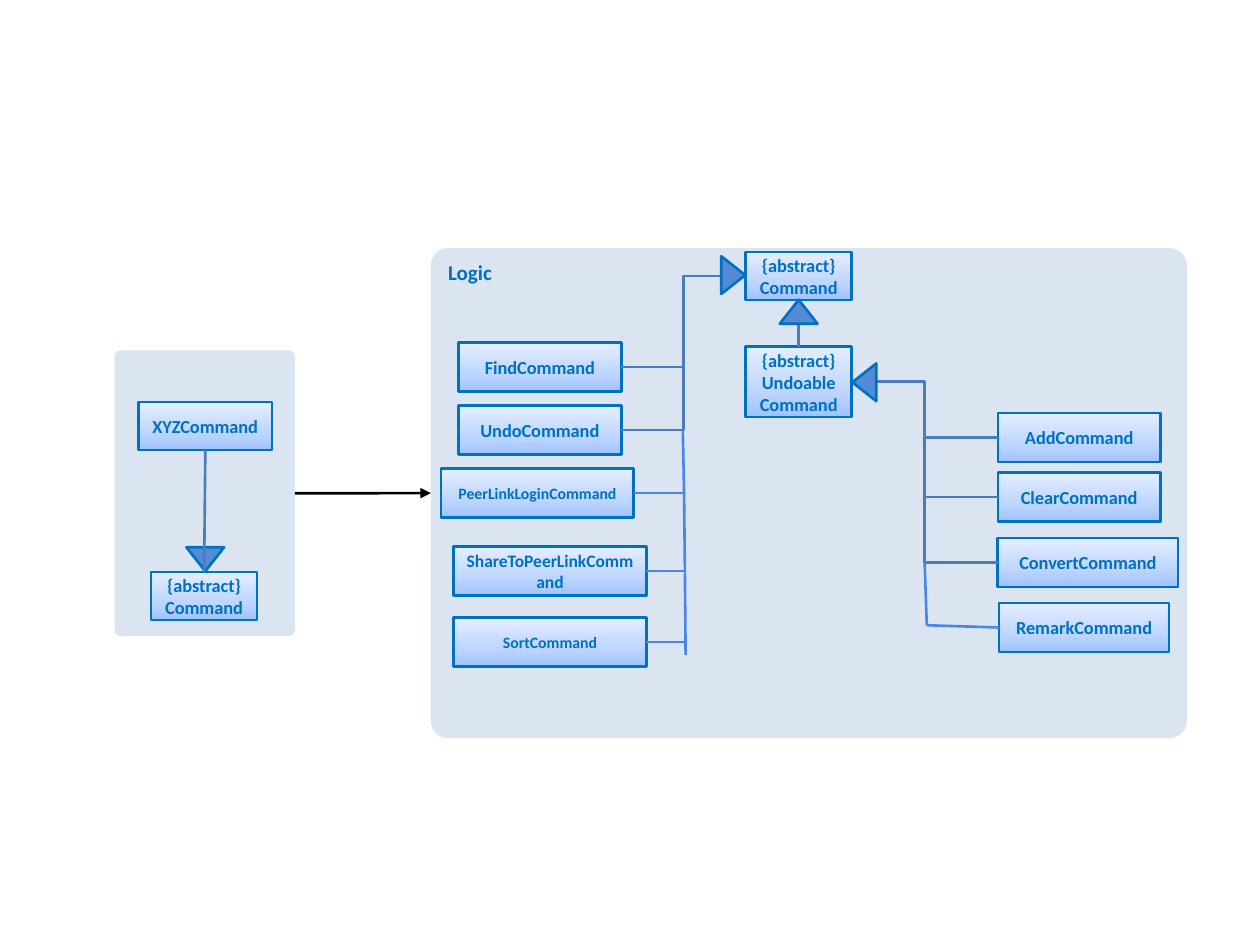
from copy import deepcopy

from pptx import Presentation
from pptx.dml.color import RGBColor
from pptx.enum import shapes, text
from pptx.oxml import ns, xmlchemy
from pptx.util import Pt

COLORS = {
    "panel": "DAE5F1", "blue": "0070C0", "triangle": "538CD5",
    "link": "4A7DBA", "branch": "4A86E8", "arrow": "000000",
}
GRADIENT = [(0, "9FC3FF"), (0.35, "BDD5FF"), (1, "E4EEFF")]
TOP, LEFT, BOTTOM, RIGHT = range(4)
STRAIGHT = shapes.MSO_CONNECTOR.STRAIGHT
ELBOW = shapes.MSO_CONNECTOR.ELBOW
BOX_HEIGHT = 28
ABSTRACT_SIZE = (60.5, 27.4)
ABSTRACT_COMMAND = "{abstract}\vCommand"


def rgb(name):
    return RGBColor.from_string(COLORS[name])


def format_text(shape, wording, size):
    frame = shape.text_frame
    frame.word_wrap = True
    frame.text = wording
    for para in frame.paragraphs:
        para.alignment = text.PP_ALIGN.CENTER
        for span in para.runs:
            span.font.name = "Calibri"
            span.font.size = Pt(size)
            span.font.bold = True
            span.font.color.rgb = rgb("blue")


def add_panel(page, area):
    panel = page.shapes.add_shape(
        shapes.MSO_SHAPE.ROUNDED_RECTANGLE, *[Pt(value) for value in area])
    panel.adjustments[0] = 0.035
    panel.shadow.inherit = False
    panel.fill.solid()
    panel.fill.fore_color.rgb = rgb("panel")
    panel.line.fill.background()
    return panel


def add_outlined(page, kind, left, top, width, height):
    shape = page.shapes.add_shape(kind, Pt(left), Pt(top), Pt(width), Pt(height))
    shape.shadow.inherit = False
    shape.line.color.rgb = rgb("blue")
    shape.line.width = Pt(1.5)
    return shape


def add_class(page, wording, left, top, width, height=BOX_HEIGHT, size=10.5):
    box = add_outlined(page, shapes.MSO_SHAPE.RECTANGLE, left, top, width, height)
    box.fill.gradient()
    box.fill.gradient_angle = 90
    # The default gradient has two stops; the class boxes need three
    stops = box.element.spPr.find(ns.qn("a:gradFill")).find(ns.qn("a:gsLst"))
    stops.insert(1, deepcopy(stops[0]))
    for stop, (position, color) in zip(box.fill.gradient_stops, GRADIENT):
        stop.position = position
        stop.color.rgb = RGBColor.from_string(color)
    box.text_frame.vertical_anchor = text.MSO_ANCHOR.MIDDLE
    format_text(box, wording, size)
    return box


def add_triangle(page, left, top, rotation=0):
    triangle = add_outlined(
        page, shapes.MSO_SHAPE.ISOSCELES_TRIANGLE, left, top, 21.6, 13.7)
    triangle.rotation = rotation
    triangle.fill.solid()
    triangle.fill.fore_color.rgb = rgb("triangle")


def add_link(page, start, end, color="link", kind=STRAIGHT):
    """Each end is an (x, y) point or a (shape, side) pair."""
    is_point = [isinstance(spot[0], (int, float)) for spot in (start, end)]
    x1, y1 = start if is_point[0] else (0, 0)
    x2, y2 = end if is_point[1] else (0, 0)
    link = page.shapes.add_connector(kind, Pt(x1), Pt(y1), Pt(x2), Pt(y2))
    if not is_point[0]:
        link.begin_connect(*start)
    if not is_point[1]:
        link.end_connect(*end)
    link.line.color.rgb = rgb(color)
    link.line.width = Pt(1.5)
    link.element.spPr.append(xmlchemy.OxmlElement("a:effectLst"))
    return link


def build_example(page, area):
    """Panel with a generic command and its abstract parent."""
    x, y = area[:2]
    panel = add_panel(page, area)
    child = add_class(page, "XYZCommand", x + 13.7, y + 29.5, 76.3, 27.4)
    parent = add_class(page, ABSTRACT_COMMAND, x + 20.9, y + 126.7, *ABSTRACT_SIZE)
    add_triangle(page, x + 41, y + 112.5, 180)
    add_link(page, (child, BOTTOM), (parent, TOP))
    return panel


def build_logic(page, area):
    """Panel with the full command hierarchy."""
    x, y = area[:2]
    panel = add_panel(page, area)
    panel.text_frame.vertical_anchor = text.MSO_ANCHOR.TOP
    format_text(panel, "Logic", 12)
    panel.text_frame.paragraphs[0].alignment = text.PP_ALIGN.LEFT

    # Abstract parents
    command = add_class(page, ABSTRACT_COMMAND, x + 180, y + 2.2, *ABSTRACT_SIZE)
    undoable = add_class(
        page, "{abstract}\vUndoable\nCommand", x + 180, y + 56.2, 60.5, 40.3)
    add_link(page, (command, BOTTOM), (undoable, TOP))
    add_triangle(page, x + 199.4, y + 29.5)

    # Undoable commands on the right
    for wording, top, width in [("AddCommand", 94.3, 93),
                                ("ClearCommand", 128.2, 93),
                                ("ConvertCommand", 165.6, 103)]:
        box = add_class(page, wording, x + 324, y + top, width)
        add_link(page, (undoable, RIGHT), (box, LEFT), kind=ELBOW)
    add_triangle(page, x + 236.9, y + 69.8, 270)
    remark = add_class(page, "RemarkCommand", x + 324.7, y + 202.8, 97.2)
    corner = (x + 283.4, y + 215.5)
    add_link(page, (x + 282.2, y + 180), corner, "branch")
    add_link(page, corner, (remark, LEFT), "branch")

    # Direct commands on the left
    for wording, top in [("FindCommand", 54), ("UndoCommand", 90)]:
        box = add_class(page, wording, x + 15.8, y + top, 93)
        add_link(page, (command, LEFT), (box, RIGHT), kind=ELBOW)
    add_triangle(page, x + 162, y + 8.6, 90)

    # Later commands, joined by an extension of the left trunk
    for wording, left, top, size in [("PeerLinkLoginCommand", 5.8, 126, 9),
                                     ("ShareToPeerLinkCommand", 13, 170.6, 10),
                                     ("SortCommand", 13, 211, 9)]:
        box = add_class(page, wording, x + left, y + top, 110.2, size=size)
        middle = y + top + BOX_HEIGHT / 2
        add_link(page, (box, RIGHT), (x + 145.4, middle), "branch")
    trunk = [(144, 104.4), (144.7, 140), (145.2, 186), (145.6, 232.6)]
    for (x1, y1), (x2, y2) in zip(trunk, trunk[1:]):
        add_link(page, (x + x1, y + y1), (x + x2, y + y2), "branch")
    return panel


def main():
    deck = Presentation()
    deck.slide_width, deck.slide_height = Pt(720), Pt(540)
    page = deck.slides.add_slide(deck.slide_layouts[6])
    example = build_example(page, (65.5, 200.2, 103, 163.4))
    logic = build_logic(page, (246.2, 141.8, 432, 280))

    # Arrow from the example to the hierarchy
    arrow = add_link(page, (example, RIGHT), (logic, LEFT), "arrow")
    head = xmlchemy.OxmlElement("a:tailEnd")
    head.set("type", "triangle")
    arrow.line._get_or_add_ln().append(head)
    deck.save("out.pptx")


if __name__ == "__main__":
    main()
